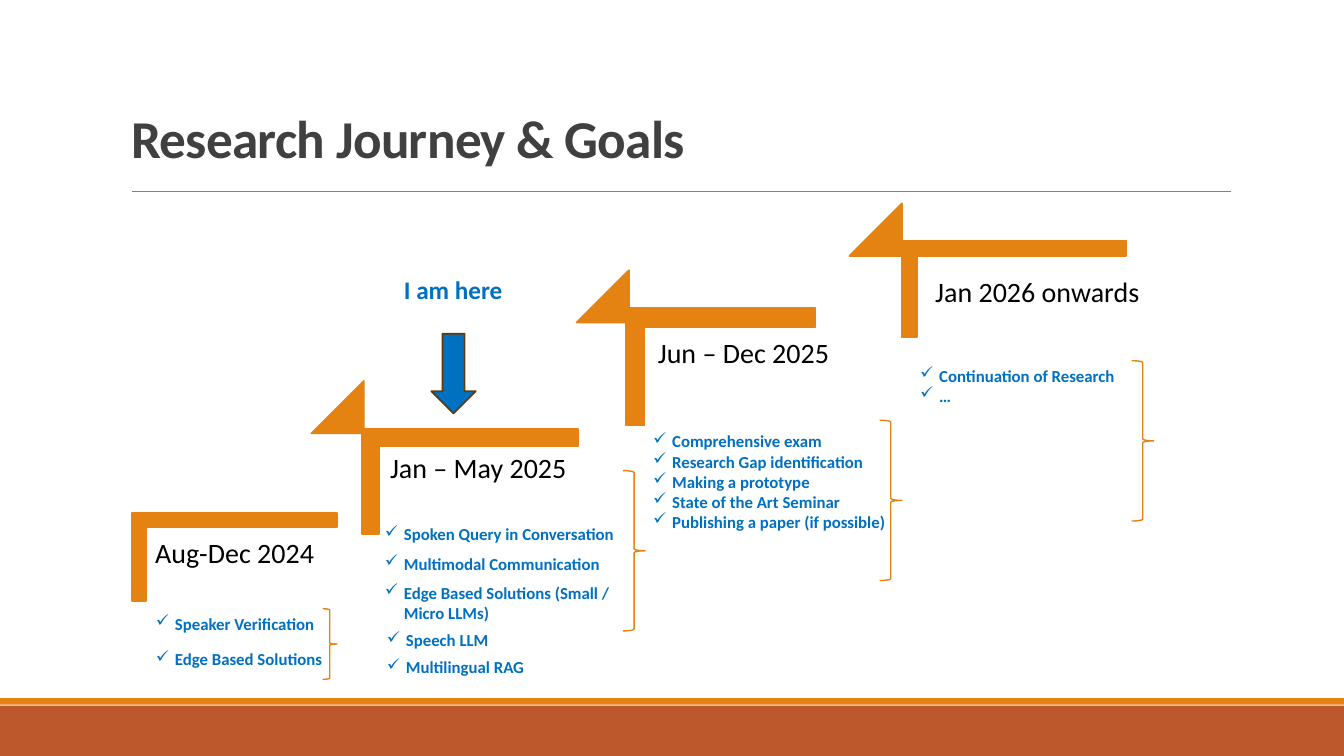
from dataclasses import dataclass
from typing import Optional

from lxml.etree import SubElement
from pptx import Presentation
from pptx.dml.color import RGBColor
from pptx.enum.shapes import MSO_CONNECTOR, MSO_SHAPE
from pptx.enum.text import MSO_ANCHOR, MSO_AUTO_SIZE, PP_ALIGN
from pptx.oxml.ns import qn
from pptx.util import Cm, Pt

COLOURS = {
    "orange": "E48312", "rust": "BD582C", "rule": "808080", "title": "404040",
    "blue": "0070C0", "outline": "643908", "black": "000000",
}
FLAG_SIZE = 1.32
BULLET_INDENT = 0.48


@dataclass
class Frame:
    left: float
    top: float
    width: float
    height: float

    def lengths(self) -> list:
        return [Cm(value) for value in (self.left, self.top, self.width, self.height)]


@dataclass
class Step:
    label: str
    corner: Frame
    label_frame: Frame
    flag: Optional[tuple[float, float]] = None


@dataclass
class Checklist:
    frame: Frame
    items: list[str]


STEPS = [
    Step("Aug-Dec 2024", Frame(3.33, 12.93, 5.16, 2.21), Frame(3.71, 13.39, 4.67, 1.3)),
    Step("Jan – May 2025", Frame(9.12, 10.82, 5.44, 2.64),
         Frame(9.63, 11.25, 5.28, 2.03), (7.85, 9.6)),
    Step("Jun – Dec 2025", Frame(15.77, 7.77, 4.78, 2.95),
         Frame(16.38, 8.36, 4.9, 2.03), (14.53, 6.81)),
    Step("Jan 2026 onwards", Frame(22.72, 6.06, 5.66, 2.44),
         Frame(23.37, 6.81, 5.94, 2.24), (21.41, 5.13)),
]
CHECKLISTS = [
    Checklist(Frame(3.68, 15.34, 4.78, 0.76), ["Speaker Verification"]),
    Checklist(Frame(3.68, 16.23, 5.03, 0.76), ["Edge Based Solutions"]),
    Checklist(Frame(9.45, 13.08, 6.73, 0.76), ["Spoken Query in Conversation"]),
    Checklist(Frame(9.45, 13.82, 6.25, 0.76), ["Multimodal Communication"]),
    Checklist(Frame(9.45, 14.55, 6.25, 1.27), ["Edge Based Solutions (Small / Micro LLMs)"]),
    Checklist(Frame(9.5, 15.75, 4.34, 0.76), ["Speech LLM"]),
    Checklist(Frame(9.5, 16.43, 5, 0.76), ["Multilingual RAG"]),
    Checklist(Frame(16.21, 10.74, 6.73, 3.33), [
        "Comprehensive exam", "Research Gap identification", "Making a prototype",
        "State of the Art Seminar", "Publishing a paper (if possible)"]),
    Checklist(Frame(22.94, 9.09, 6.73, 1.27), ["Continuation of Research", "…"]),
]
BRACES = [
    Frame(8.13, 15.34, 0.36, 1.78), Frame(15.7, 11.86, 0.56, 4.04),
    Frame(22.17, 10.59, 0.56, 4.04), Frame(28.52, 9.09, 0.56, 4.04),
]


def colour(name: str) -> RGBColor:
    return RGBColor.from_string(COLOURS[name])


def set_all(target, **values) -> None:
    for name, value in values.items():
        setattr(target, name, value)


def format_font(font, size: float, tint: str, bold: bool = False) -> None:
    set_all(font, name="Calibri", size=Pt(size), bold=bold)
    font.color.rgb = colour(tint)


def add_figure(page, kind, frame: Frame, fill: Optional[str] = None,
               line: Optional[str] = None, weight: float = 1.25):
    shape = page.shapes.add_shape(kind, *frame.lengths())
    shape.shadow.inherit = False
    if fill:
        shape.fill.solid()
        shape.fill.fore_color.rgb = colour(fill)
    else:
        shape.fill.background()
    if line:
        shape.line.color.rgb = colour(line)
        shape.line.width = Pt(weight)
    else:
        shape.line.fill.background()
    return shape


def add_text(page, frame: Frame, lines: list[str], size: float, tint: str,
             bold: bool = False, bullet: bool = False, wrap: bool = True):
    box = page.shapes.add_textbox(*frame.lengths())
    text_frame = box.text_frame
    set_all(text_frame, word_wrap=wrap, auto_size=MSO_AUTO_SIZE.NONE)
    for index, line in enumerate(lines):
        para = text_frame.paragraphs[0] if index == 0 else text_frame.add_paragraph()
        if bullet:
            properties = para._p.get_or_add_pPr()
            properties.set("marL", str(Cm(BULLET_INDENT)))
            properties.set("indent", str(-Cm(BULLET_INDENT)))
            SubElement(properties, qn("a:buChar")).set("char", "✓")
        span = para.add_run()
        span.text = line
        format_font(span.font, size, tint, bold)
    return text_frame


def add_step(page, step: Step) -> None:
    if step.flag:
        flag = add_figure(page, MSO_SHAPE.ISOSCELES_TRIANGLE,
                          Frame(*step.flag, FLAG_SIZE, FLAG_SIZE), "orange", "orange")
        flag.adjustments[0] = 1
    # The corner is turned a quarter, so its sides swap around the same centre
    seen = step.corner
    shift = (seen.width - seen.height) / 2
    turned = Frame(seen.left + shift, seen.top - shift, seen.height, seen.width)
    corner = add_figure(page, MSO_SHAPE.CORNER, turned, "orange", "orange")
    corner.rotation = 90
    for index in range(2):
        corner.adjustments[index] = 0.16
    label = add_text(page, step.label_frame, [step.label], 20, "black")
    set_all(label, **{f"margin_{side}": Cm(0.2) for side in ("left", "top", "right", "bottom")})
    label.paragraphs[0].line_spacing = 0.9


def add_title(page) -> None:
    title = page.shapes.title
    left, top, width, height = Frame(3.05, 1.85, 27.94, 2.54).lengths()
    set_all(title, left=left, top=top, width=width, height=height)
    set_all(title.text_frame, vertical_anchor=MSO_ANCHOR.BOTTOM, word_wrap=True,
            auto_size=MSO_AUTO_SIZE.NONE)
    para = title.text_frame.paragraphs[0]
    set_all(para, alignment=PP_ALIGN.LEFT, line_spacing=0.85)
    span = para.add_run()
    span.text = "Research Journey & Goals"
    format_font(span.font, 38, "title", True)
    span._r.get_or_add_rPr().set("spc", "-50")


def main() -> None:
    deck = Presentation()
    set_all(deck, slide_width=Cm(33.87), slide_height=Cm(19.05))
    page = deck.slides.add_slide(deck.slide_layouts[5])

    # Footer bands, title and rule
    add_figure(page, MSO_SHAPE.RECTANGLE, Frame(0, 17.78, 33.87, 1.27), "rust")
    add_figure(page, MSO_SHAPE.RECTANGLE, Frame(0, 17.59, 33.87, 0.17), "orange")
    add_title(page)
    rule = page.shapes.add_connector(MSO_CONNECTOR.STRAIGHT,
                                     Cm(3.33), Cm(4.83), Cm(31.01), Cm(4.83))
    rule.line.color.rgb = colour("rule")
    rule.line.width = Pt(0.5)
    SubElement(rule._element.spPr, qn("a:effectLst"))

    # Staircase of periods
    for step in STEPS:
        add_step(page, step)

    # Goals and their braces
    for checklist in CHECKLISTS:
        add_text(page, checklist.frame, checklist.items, 12, "blue", bold=True, bullet=True)
    for brace in BRACES:
        add_figure(page, MSO_SHAPE.RIGHT_BRACE, brace, line="orange", weight=1)

    # Current position
    add_figure(page, MSO_SHAPE.DOWN_ARROW, Frame(10.87, 8.41, 1.12, 2.01), "blue", "outline")
    add_text(page, Frame(9.93, 6.78, 3.02, 1.02), ["I am here"], 18, "blue",
             bold=True, wrap=False)

    deck.save("out.pptx")


if __name__ == "__main__":
    main()
